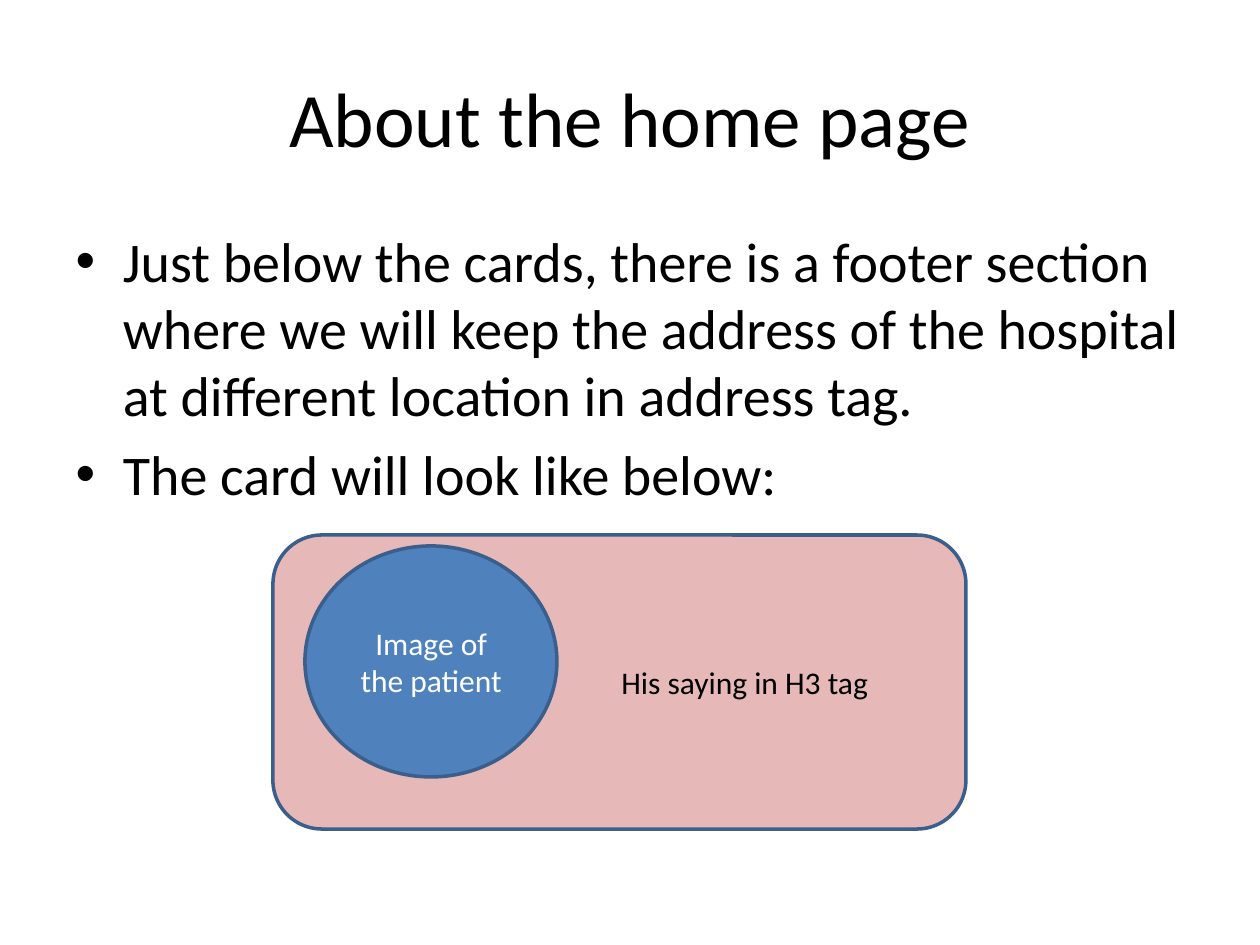
from dataclasses import dataclass

from pptx import Presentation
from pptx.dml.color import RGBColor
from pptx.enum.shapes import MSO_SHAPE
from pptx.enum.text import MSO_ANCHOR, PP_ALIGN
from pptx.util import Emu, Pt

PX = 914400 // 126
ROUNDED, OVAL = MSO_SHAPE.ROUNDED_RECTANGLE, MSO_SHAPE.OVAL
CENTER, MIDDLE = PP_ALIGN.CENTER, MSO_ANCHOR.MIDDLE


@dataclass(frozen=True)
class Theme:
    font: str = "Calibri"
    ink: str = "000000"
    white: str = "FFFFFF"
    pink: str = "E6B9B8"
    blue: str = "4F81BD"
    outline: str = "3A5F8C"
    title_size: int = 44
    body_size: int = 32
    label_size: int = 18
    line_width: int = 2


@dataclass(frozen=True)
class Box:
    left: int
    top: int
    width: int
    height: int


@dataclass(frozen=True)
class CardPart:
    kind: MSO_SHAPE
    box: Box
    fill: str
    text: str
    color: str
    inset_left: int = 13


THEME = Theme()
TITLE = "About the home page"
TITLE_BOX = Box(63, 38, 1134, 158)
BODY_BOX = Box(63, 220, 1134, 624)
BULLETS = [
    "Just below the cards, there is a footer section where we will keep "
    "the address of the hospital at different location in address tag.",
    "The card will look like below:",
]
CARD = [
    CardPart(ROUNDED, Box(273, 535, 693, 294), THEME.pink,
             "His saying in H3 tag", THEME.ink, inset_left=263),
    CardPart(OVAL, Box(305, 546, 252, 231), THEME.blue,
             "Image of the patient", THEME.white),
]


def px(n: int) -> Emu:
    return Emu(n * PX)


def place(sp, box: Box) -> None:
    sp.left, sp.top = px(box.left), px(box.top)
    sp.width, sp.height = px(box.width), px(box.height)


def style(p, size: int, color: str) -> None:
    p.font.name = THEME.font
    p.font.size = Pt(size)
    p.font.color.rgb = RGBColor.from_string(color)


def fill_placeholder(sp, box: Box, lines: list[str], size: int) -> None:
    place(sp, box)
    tf = sp.text_frame
    tf.text = "\n".join(lines)
    for p in tf.paragraphs:
        style(p, size, THEME.ink)


def draw_part(slide, part: CardPart) -> None:
    b = part.box
    sp = slide.shapes.add_shape(part.kind, px(b.left), px(b.top), px(b.width), px(b.height))
    sp.shadow.inherit = False
    sp.fill.solid()
    sp.fill.fore_color.rgb = RGBColor.from_string(part.fill)
    sp.line.color.rgb = RGBColor.from_string(THEME.outline)
    sp.line.width = Pt(THEME.line_width)
    tf = sp.text_frame
    tf.word_wrap = True
    tf.vertical_anchor = MIDDLE
    tf.margin_left = px(part.inset_left)
    p = tf.paragraphs[0]
    p.text = part.text
    p.alignment = CENTER
    style(p, THEME.label_size, part.color)


def main() -> None:
    prs = Presentation()
    prs.slide_width, prs.slide_height = px(1260), px(945)
    # Title and Content: its body placeholder carries the bullets.
    slide = prs.slides.add_slide(prs.slide_layouts[1])
    fill_placeholder(slide.shapes.title, TITLE_BOX, [TITLE], THEME.title_size)
    fill_placeholder(slide.placeholders[1], BODY_BOX, BULLETS, THEME.body_size)
    for part in CARD:
        draw_part(slide, part)
    prs.save("out.pptx")


if __name__ == "__main__":
    main()
